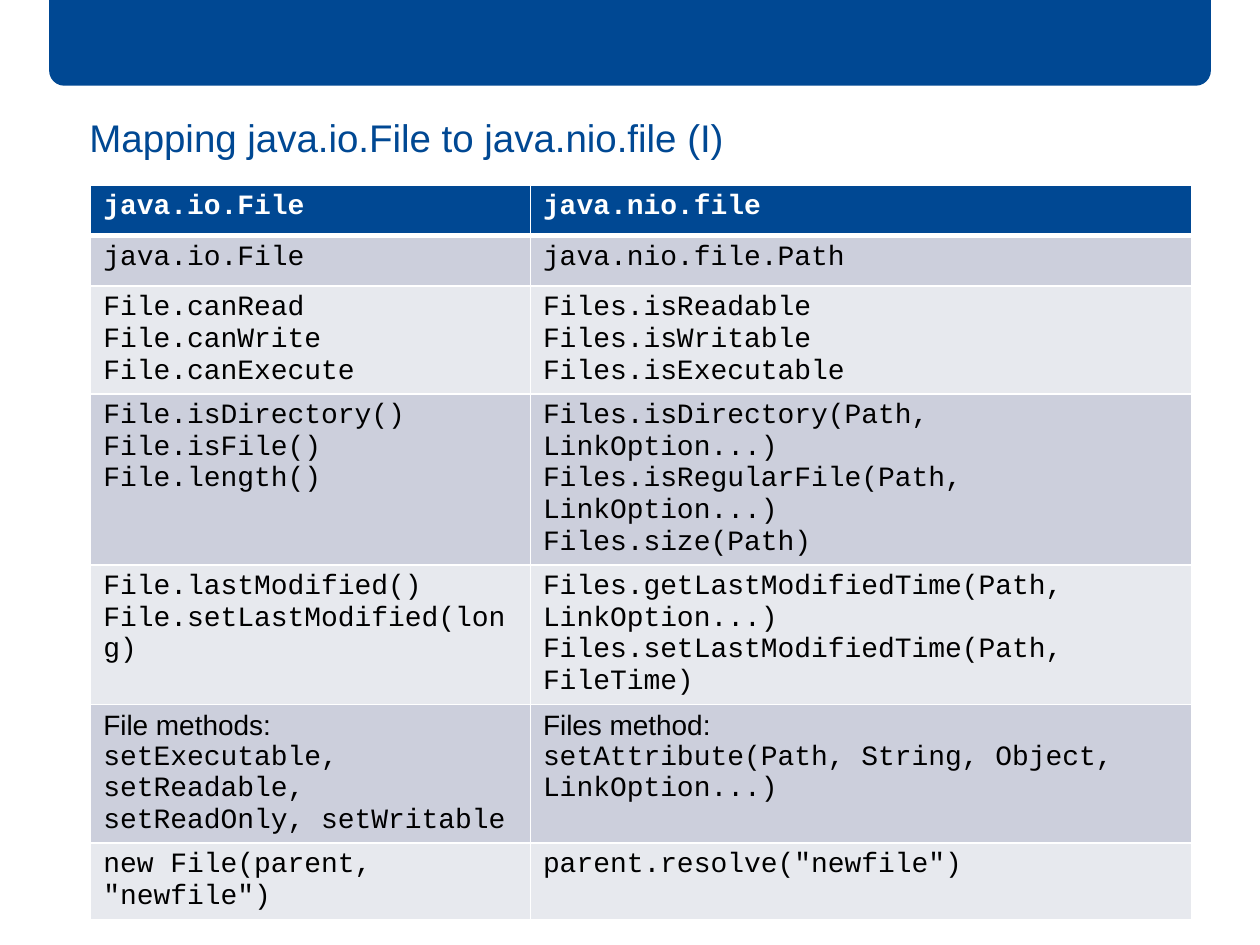
from lxml.etree import SubElement
from pptx import Presentation
from pptx.dml.color import RGBColor
from pptx.enum.shapes import MSO_SHAPE as SHAPE
from pptx.enum.text import MSO_ANCHOR as ANCHOR
from pptx.oxml.ns import qn
from pptx.util import Inches, Pt

BLUE, WHITE, BLACK = "004893", "FFFFFF", "000000"
BANDS = ["CCCFDC", "E7E9EE"]
SANS, MONO = "Arial", "Courier New"

ROWS = [
    (["java.io.File"], ["java.nio.file"]),
    (["java.io.File"], ["java.nio.file.Path"]),
    (["File.canRead", "File.canWrite", "File.canExecute"],
     ["Files.isReadable", "Files.isWritable", "Files.isExecutable"]),
    (["File.isDirectory()", "File.isFile()", "File.length()"],
     ["Files.isDirectory(Path, LinkOption...) Files.isRegularFile(Path, LinkOption...)",
      "Files.size(Path)"]),
    (["File.lastModified()", "File.setLastModified(long)"],
     ["Files.getLastModifiedTime(Path, LinkOption...)",
      "Files.setLastModifiedTime(Path, FileTime)"]),
    (["File methods:", "setExecutable, setReadable, setReadOnly, setWritable"],
     ["Files method:", "setAttribute(Path, String, Object, LinkOption...)"]),
    (['new File(parent, "newfile")'], ['parent.resolve("newfile")']),
]


def rgb(value):
    return RGBColor.from_string(value)


class Deck:
    """Holds the style and the current slide, and draws each kind of element."""

    def __init__(self, width, height):
        self.prs = Presentation()
        self.prs.slide_width, self.prs.slide_height = Inches(width), Inches(height)
        self.s = self.prs.slides.add_slide(self.prs.slide_layouts[6])

    def run(self, p, text, size, font, color, bold=False):
        r = p.add_run()
        r.text = text
        r.font.size, r.font.name, r.font.bold = Pt(size), font, bold
        r.font.color.rgb = rgb(color)

    def banner(self, x, y, w, h, radius):
        sp = self.s.shapes.add_shape(SHAPE.ROUND_2_SAME_RECTANGLE,
                                     Inches(x), Inches(y), Inches(w), Inches(h))
        sp.adjustments[0], sp.adjustments[1] = 0, radius / h
        sp.shadow.inherit = False
        sp.fill.solid()
        sp.fill.fore_color.rgb = rgb(BLUE)
        sp.line.fill.background()

    def title(self, text, x, y, w, h):
        tf = self.s.shapes.add_textbox(Inches(x), Inches(y), Inches(w), Inches(h)).text_frame
        tf.word_wrap = True
        tf.vertical_anchor = ANCHOR.TOP
        tf.margin_left = tf.margin_top = tf.margin_right = tf.margin_bottom = 0
        p = tf.paragraphs[0]
        p.line_spacing = 0.9
        self.run(p, text, 22, SANS, BLUE)

    def borders(self, cell, **widths):
        tcPr = cell._tc.get_or_add_tcPr()
        for side in "LRTB":
            ln = SubElement(tcPr, qn(f"a:ln{side}"), w=str(Pt(widths.get(side, 1))))
            fill = SubElement(ln, qn("a:solidFill"))
            SubElement(fill, qn("a:srgbClr"), val=WHITE)

    def cell(self, cell, lines, row):
        head = row == 0
        self.borders(cell, T=3 if row == 1 else 1, B=3 if head else 1)
        cell.fill.solid()
        cell.fill.fore_color.rgb = rgb(BLUE if head else BANDS[(row - 1) % 2])
        tf = cell.text_frame
        for i, line in enumerate(lines):
            p = tf.add_paragraph() if i else tf.paragraphs[0]
            font = SANS if line.endswith(":") else MONO
            self.run(p, line, 16, font, WHITE if head else BLACK, head)

    def table(self, rows, x, y, widths, row_height):
        table = self.s.shapes.add_table(
            len(rows), len(widths), Inches(x), Inches(y),
            Inches(sum(widths)), Inches(row_height * len(rows))).table
        for column, width in zip(table.columns, widths):
            column.width = Inches(width)
        for i, row in enumerate(rows):
            table.rows[i].height = Inches(row_height)
            for j, lines in enumerate(row):
                self.cell(table.cell(i, j), lines, i)


def main():
    deck = Deck(10, 7.5)
    deck.banner(0.39, -0.01, 9.22, 0.69, 0.12)
    deck.table(ROWS, 0.72, 1.47, [3.49, 5.25], 0.4)
    deck.title("Mapping java.io.File to java.nio.file (I)", 0.71, 0.95, 8.58, 0.47)
    deck.prs.save("out.pptx")


if __name__ == "__main__":
    main()
